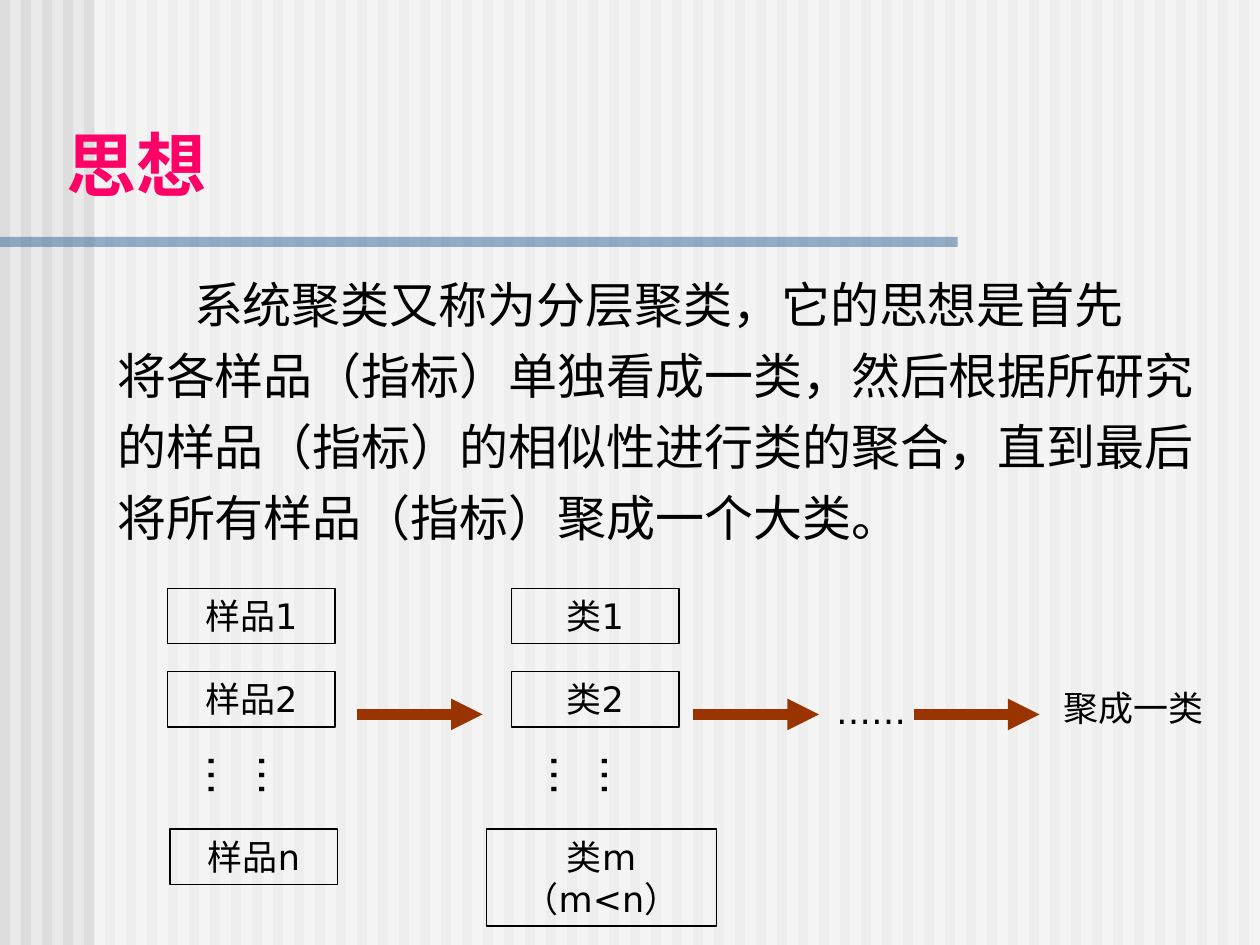
from lxml import etree
from pptx import Presentation
from pptx.dml.color import RGBColor
from pptx.enum.shapes import MSO_CONNECTOR, MSO_SHAPE
from pptx.enum.text import MSO_ANCHOR, MSO_AUTO_SIZE, PP_ALIGN
from pptx.oxml.ns import qn
from pptx.util import Inches, Pt

RECTANGLE = MSO_SHAPE.RECTANGLE
STRAIGHT = MSO_CONNECTOR.STRAIGHT
TOP, BOTTOM = MSO_ANCHOR.TOP, MSO_ANCHOR.BOTTOM
NO_FIT, GROW = MSO_AUTO_SIZE.NONE, MSO_AUTO_SIZE.SHAPE_TO_FIT_TEXT
LEFT, CENTER = PP_ALIGN.LEFT, PP_ALIGN.CENTER

THEME = {
    "font": "DejaVu Sans",
    "background": "EAEAEA", "stripe": "DDDDDD", "veil": "FFFFFF", "rule": "336699",
    "title": "FF0066", "text": "000000", "arrow": "993300",
    "title_size": 40, "body_size": 28, "dots_size": 24, "label_size": 20,
}

TITLE = "思想"
BODY = [
    "系统聚类又称为分层聚类，它的思想是首先",
    "将各样品（指标）单独看成一类，然后根据所研究",
    "的样品（指标）的相似性进行类的聚合，直到最后",
    "将所有样品（指标）聚成一个大类。",
]
DOTS = "……"
BOXES = [
    ("样品1", 1.33, 4.67, 1.33, 0.44),
    ("样品2", 1.33, 5.33, 1.33, 0.44),
    ("样品n", 1.35, 6.58, 1.33, 0.44),
    ("类1", 4.06, 4.67, 1.33, 0.44),
    ("类2", 4.06, 5.33, 1.33, 0.44),
    ("类m（m<n）", 3.86, 6.58, 1.83, 0.77),
]
LABELS = [(DOTS, 6.5, 5.42, 0.83, 0.44), ("聚成一类", 8.33, 5.4, 1.33, 0.44)]
VERTICAL_DOTS = [(DOTS, 1.44, 5.89, 1, 0.58), (DOTS, 4.16, 5.89, 1, 0.58)]
ARROW_STARTS = [2.83, 5.5, 7.25]
ARROW_TOP, ARROW_LENGTH = 5.67, 1
STRIPE_COUNT, STRIPE_STEP, STRIPE_WIDTH = 60, 1 / 6, 0.08


def color(name):
    return RGBColor.from_string(THEME[name])


def apply(target, values):
    for name, value in values.items():
        setattr(target, name, value)


def place(shape, left, top, width, height):
    apply(shape, {"left": Inches(left), "top": Inches(top),
                  "width": Inches(width), "height": Inches(height)})


def add_text(paragraph, text, size, color_name="text", bold=False):
    run = paragraph.add_run()
    run.text = text
    apply(run.font, {"name": THEME["font"], "size": Pt(THEME[size]), "bold": bold})
    run.font.color.rgb = color(color_name)
    etree.SubElement(run.font._element, qn("a:ea"), typeface=THEME["font"])


def add_band(slide, left, top, width, height, fill, alpha=None):
    band = slide.shapes.add_shape(RECTANGLE, *map(Inches, (left, top, width, height)))
    band.shadow.inherit = False
    band.line.fill.background()
    band.fill.solid()
    band.fill.fore_color.rgb = color(fill)
    if alpha:
        solid = band.element.spPr.find(qn("a:solidFill"))
        etree.SubElement(solid[0], qn("a:alpha"), val=str(alpha * 1000))


def add_label(slide, text, left, top, width, height, size="label_size", boxed=False):
    bounds = tuple(map(Inches, (left, top, width, height)))
    if boxed:
        shape = slide.shapes.add_shape(RECTANGLE, *bounds)
        shape.shadow.inherit = False
        shape.fill.background()
        shape.line.color.rgb = color("text")
        shape.line.width = Pt(0.75)
    else:
        shape = slide.shapes.add_textbox(*bounds)
    frame = shape.text_frame
    apply(frame, {"word_wrap": True, "auto_size": GROW, "vertical_anchor": TOP})
    paragraph = frame.paragraphs[0]
    paragraph.alignment = CENTER
    add_text(paragraph, text, size)
    return frame


def add_vertical_dots(slide, dots):
    frame = add_label(slide, *dots, size="dots_size")
    apply(frame, {"margin_left": Inches(0.05), "margin_right": Inches(0.05),
                  "margin_top": Inches(0.1), "margin_bottom": Inches(0.1)})
    frame._element.bodyPr.set("vert", "eaVert")


def add_arrow(slide, left):
    arrow = slide.shapes.add_connector(
        STRAIGHT, Inches(left), Inches(ARROW_TOP),
        Inches(left + ARROW_LENGTH), Inches(ARROW_TOP))
    arrow.line.color.rgb = color("arrow")
    arrow.line.width = Pt(6)
    etree.SubElement(arrow.line._get_or_add_ln(), qn("a:tailEnd"), type="triangle")
    etree.SubElement(arrow.element.spPr, qn("a:effectLst"))


def add_background(slide):
    slide.background.fill.solid()
    slide.background.fill.fore_color.rgb = color("background")
    for index in range(STRIPE_COUNT):
        add_band(slide, index * STRIPE_STEP, 0, STRIPE_WIDTH, 7.5, "stripe")
    add_band(slide, 0.75, 0, 9.25, 7.5, "veil", 50)
    add_band(slide, 0, 1.88, 7.6, 0.08, "rule", 50)


def fill_title(title):
    place(title, 0.43, 0.91, 1.68, 0.77)
    apply(title.text_frame, {"word_wrap": True, "auto_size": NO_FIT,
                             "vertical_anchor": BOTTOM})
    paragraph = title.text_frame.paragraphs[0]
    paragraph.alignment = LEFT
    add_text(paragraph, TITLE, "title_size", "title", True)


def fill_body(body):
    place(body, 0.83, 2.08, 8.87, 2.42)
    frame = body.text_frame
    apply(frame, {"word_wrap": True, "auto_size": NO_FIT,
                  "vertical_anchor": TOP, "margin_top": Inches(0.1)})
    for index, text in enumerate(BODY):
        paragraph = frame.add_paragraph() if index else frame.paragraphs[0]
        apply(paragraph, {"alignment": LEFT, "space_before": Pt(7)})
        properties = paragraph._p.get_or_add_pPr()
        properties.set("marL", str(Inches(0.38)))
        properties.set("indent", str(Inches(-0.38 if index else 0.23)))
        etree.SubElement(properties, qn("a:buNone"))
        add_text(paragraph, text, "body_size")


def main():
    presentation = Presentation()
    apply(presentation, {"slide_width": Inches(10), "slide_height": Inches(7.5)})
    slide = presentation.slides.add_slide(presentation.slide_layouts[1])
    title, body = slide.placeholders
    add_background(slide)
    for placeholder in (title, body):
        slide.shapes.element.append(placeholder.element)
    fill_title(title)
    fill_body(body)
    for box in BOXES:
        add_label(slide, *box, boxed=True)
    for label in LABELS:
        add_label(slide, *label)
    for dots in VERTICAL_DOTS:
        add_vertical_dots(slide, dots)
    for left in ARROW_STARTS:
        add_arrow(slide, left)
    presentation.save("out.pptx")


if __name__ == "__main__":
    main()
